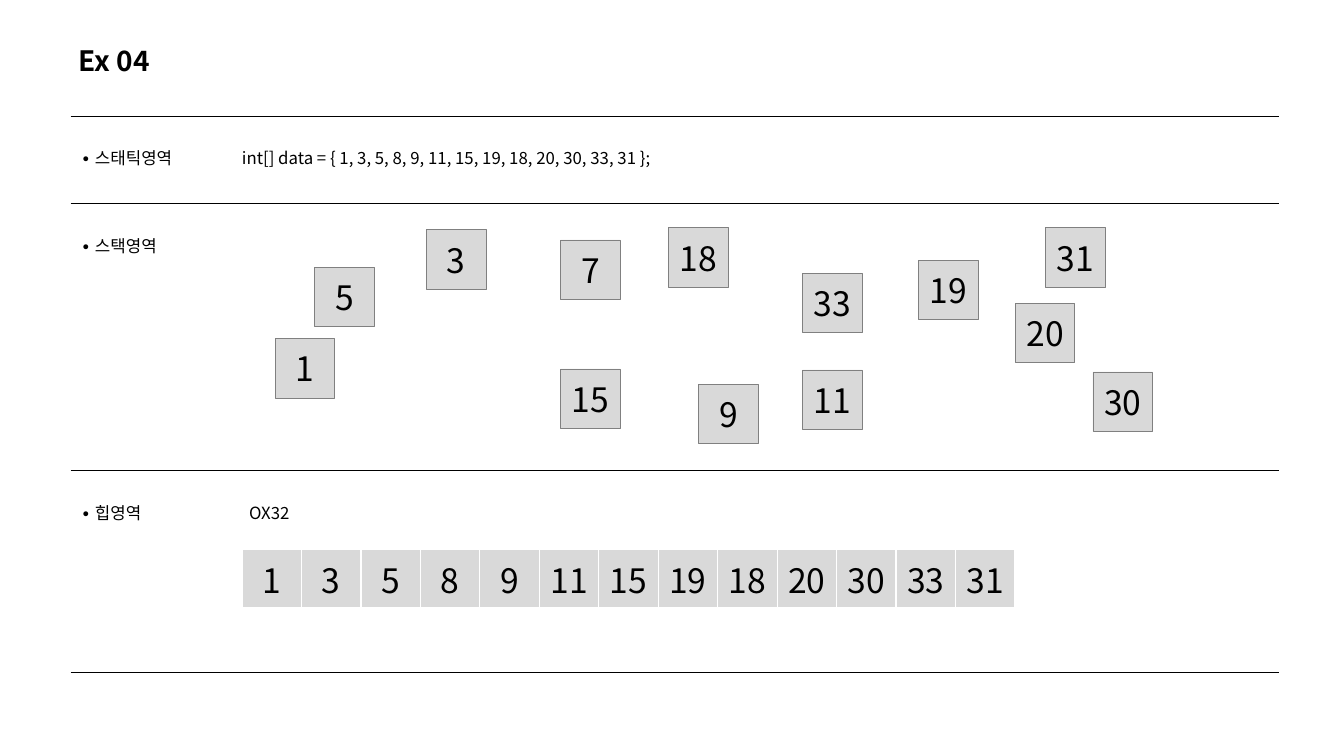
from lxml import etree
from pptx import Presentation
from pptx.dml.color import RGBColor
from pptx.enum import shapes, text
from pptx.oxml.ns import qn
from pptx.util import Inches, Pt

FONT = "Noto Sans CJK KR"
BLACK = RGBColor(0x00, 0x00, 0x00)
WHITE = RGBColor(0xFF, 0xFF, 0xFF)
LIGHT = RGBColor(0xD9, 0xD9, 0xD9)
GRAY = RGBColor(0x80, 0x80, 0x80)
BOX = 0.59  # side of a number box and of an array cell


def write(tf, content, size=12, bold=False, align=text.PP_ALIGN.LEFT):
    p = tf.paragraphs[0]
    p.alignment = align
    r = p.add_run()
    r.text = content
    r.font.size, r.font.bold, r.font.name = Pt(size), bold, FONT
    r.font.color.rgb = BLACK
    etree.SubElement(r._r.get_or_add_rPr(), qn("a:ea"), typeface=FONT)


def set_borders(cell, **edges):
    """Give each edge (L, R, T, B) a (colour, points) pair; others get no line."""
    tc_pr = cell._tc.get_or_add_tcPr()
    for edge in "LRTB":
        ln = etree.SubElement(tc_pr, qn(f"a:ln{edge}"))
        if edge in edges:
            color, width = edges[edge]
            ln.set("w", str(Pt(width)))
            fill = etree.SubElement(ln, qn("a:solidFill"))
            etree.SubElement(fill, qn("a:srgbClr"), val=str(color))
        else:
            etree.SubElement(ln, qn("a:noFill"))


prs = Presentation()
prs.slide_width, prs.slide_height = Inches(13.33), Inches(7.5)
s = prs.slides.add_slide(prs.slide_layouts[6])

# Memory areas: label, content, left inset of the content, row height
areas = [
    ("∙ 스태틱영역", "int[] data = { 1, 3, 5, 8, 9, 11, 15, 19, 18, 20, 30, 33, 31 };", 0.14, 0.87),
    ("∙ 스택영역", "", 0.1, 2.65),
    ("∙ 힙영역", "OX32", 0.21, 2),
]
table = s.shapes.add_table(3, 2, Inches(0.7), Inches(1.15), Inches(11.99), Inches(5.52)).table
table.first_row = table.horz_banding = False
for column, width in zip(table.columns, (1.56, 10.43)):
    column.width = Inches(width)
for row, (label, content, inset, height) in zip(table.rows, areas):
    row.height = Inches(height)
    for cell, words, left in zip(row.cells, (label, content), (0.1, inset)):
        set_borders(cell, T=(BLACK, 0.5), B=(BLACK, 0.5))
        cell.fill.background()
        cell.margin_left, cell.margin_top = Inches(left), Inches(0.29)
        if words:
            write(cell.text_frame, words)

# Heap array
values = [1, 3, 5, 8, 9, 11, 15, 19, 18, 20, 30, 33, 31]
array = s.shapes.add_table(1, len(values), Inches(2.4), Inches(5.45),
                           Inches(BOX * len(values)), Inches(BOX)).table
array.first_row = array.horz_banding = False
for column, cell, value in zip(array.columns, array.rows[0].cells, values):
    column.width = Inches(BOX)
    thin = (WHITE, 1)
    set_borders(cell, L=thin, R=thin, T=thin, B=(WHITE, 3))
    cell.fill.solid()
    cell.fill.fore_color.rgb = LIGHT
    cell.margin_left = cell.margin_right = Inches(0.08)
    cell.margin_top = cell.margin_bottom = Inches(0.04)
    cell.vertical_anchor = text.MSO_ANCHOR.MIDDLE
    write(cell.text_frame, str(value), size=24, align=text.PP_ALIGN.CENTER)

# Title
title = s.shapes.add_textbox(Inches(0.68), Inches(0.38), Inches(0.91), Inches(0.44))
title.text_frame.word_wrap = False
title.text_frame.auto_size = text.MSO_AUTO_SIZE.SHAPE_TO_FIT_TEXT
write(title.text_frame, "Ex 04", size=20, bold=True)

# Scattered stack numbers: value, left, top
numbers = [
    (1, 2.73, 3.36), (5, 3.12, 2.65), (3, 4.23, 2.28), (7, 5.56, 2.38),
    (9, 6.93, 3.81), (11, 7.96, 3.67), (15, 5.56, 3.66), (18, 6.63, 2.26),
    (19, 9.11, 2.58), (20, 10.07, 3.01), (30, 10.84, 3.69), (31, 10.37, 2.26),
    (33, 7.96, 2.71),
]
for value, left, top in numbers:
    sp = s.shapes.add_shape(shapes.MSO_SHAPE.RECTANGLE, Inches(left), Inches(top),
                            Inches(BOX), Inches(BOX))
    sp.shadow.inherit = False
    sp.fill.solid()
    sp.fill.fore_color.rgb = LIGHT
    sp.line.color.rgb = GRAY
    sp.line.width = Pt(0.5)
    sp.text_frame.vertical_anchor = text.MSO_ANCHOR.MIDDLE
    write(sp.text_frame, str(value), size=24, align=text.PP_ALIGN.CENTER)

prs.save("out.pptx")
